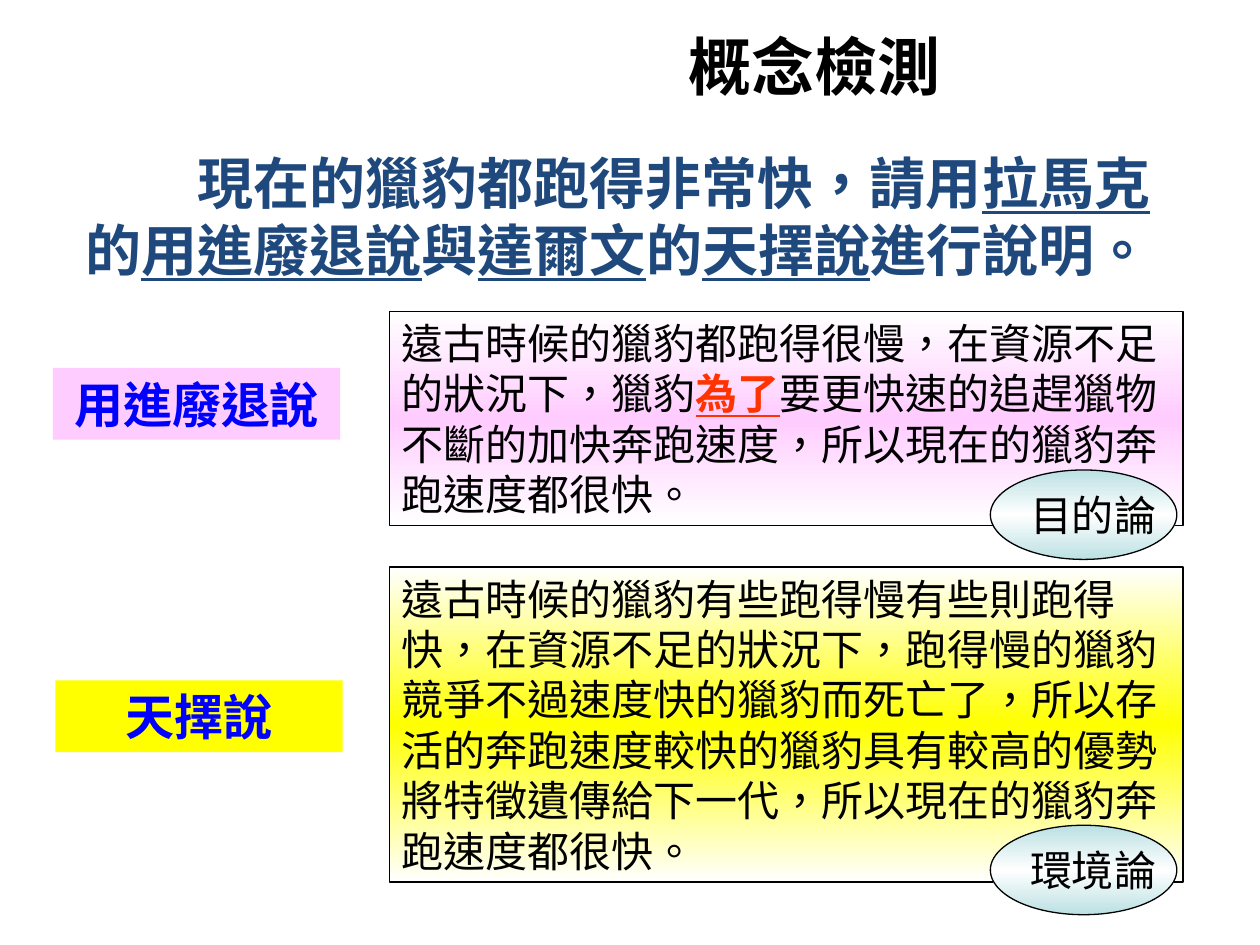
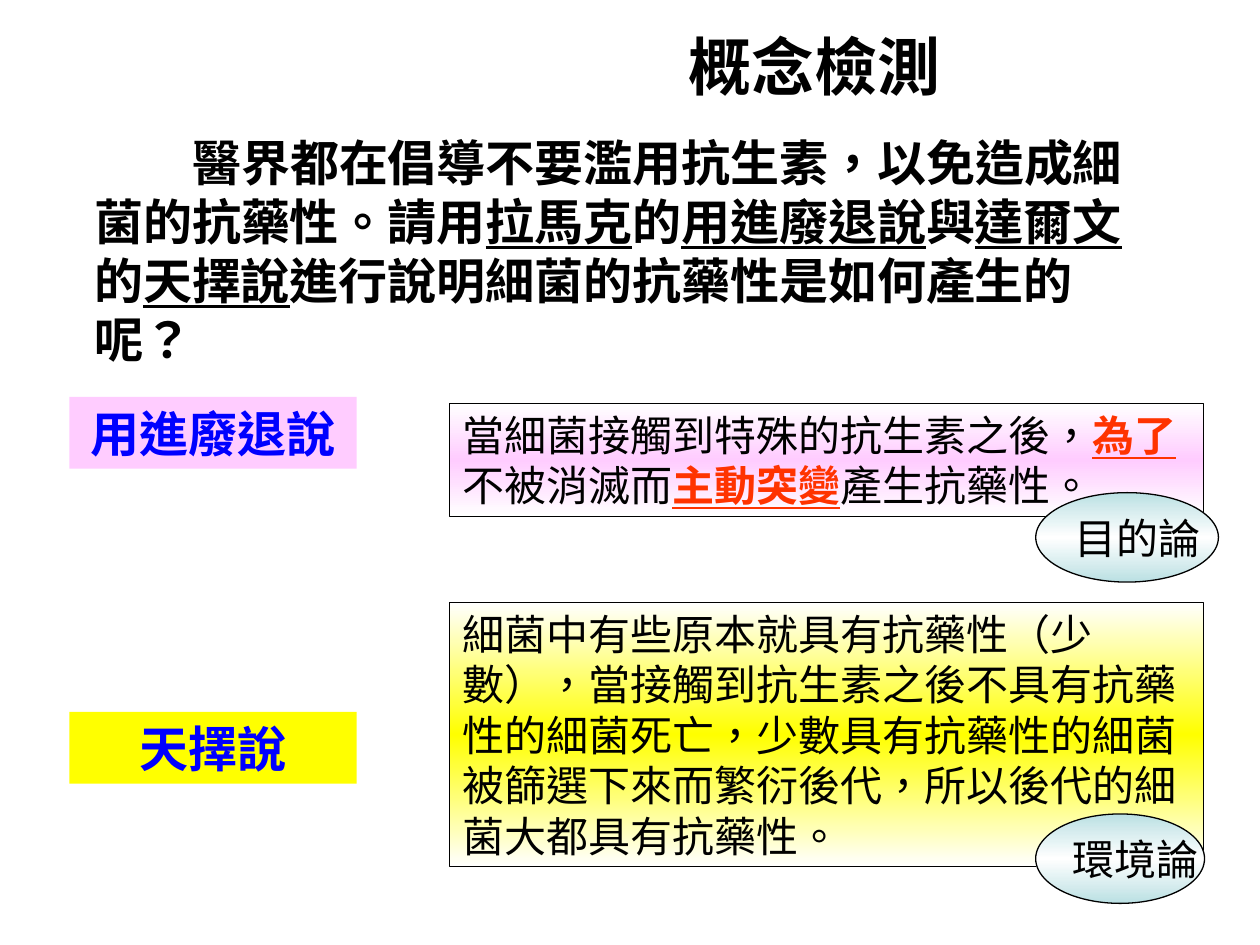
from copy import deepcopy

from pptx import Presentation
from pptx.dml.color import RGBColor
from pptx.enum.shapes import MSO_SHAPE
from pptx.enum.text import MSO_ANCHOR, MSO_AUTO_SIZE, PP_ALIGN
from pptx.oxml.ns import qn
from pptx.util import Inches, Pt

RECT, ELLIPSE = MSO_SHAPE.RECTANGLE, MSO_SHAPE.OVAL
TOP, MIDDLE = MSO_ANCHOR.TOP, MSO_ANCHOR.MIDDLE
LEFT, CENTER = PP_ALIGN.LEFT, PP_ALIGN.CENTER
GROW = MSO_AUTO_SIZE.SHAPE_TO_FIT_TEXT

FONT = "Noto Sans CJK SC"
BLACK = RGBColor(0x00, 0x00, 0x00)
WHITE = RGBColor(0xFF, 0xFF, 0xFF)
NAVY = RGBColor(0x1F, 0x49, 0x7D)
BLUE = RGBColor(0x00, 0x00, 0xFF)
RED = RGBColor(0xFF, 0x33, 0x00)
PINK = RGBColor(0xFF, 0xCC, 0xFF)
YELLOW = RGBColor(0xFF, 0xFF, 0x00)
TEAL = RGBColor(0xBB, 0xE0, 0xE3)

TITLE = "概念檢測"
# Theory, its colour and the view behind it
THEORIES = [("用進廢退說", PINK, "目的論"), ("天擇說", YELLOW, "環境論")]


def write(sp, text, size, color=BLACK, bold=False, mark=None, align=LEFT,
          anchor=TOP, wrap=True, indent=0):
    """Write one paragraph; parts between bars are underlined, and bold in the mark colour if given."""
    tf = sp.text_frame
    tf.word_wrap = wrap
    tf.vertical_anchor = anchor
    p = tf.paragraphs[0]
    p.alignment = align
    pPr = p._p.get_or_add_pPr()
    pPr.set("hangingPunct", "0")
    if indent:
        pPr.set("marL", "0")
        pPr.set("indent", str(Pt(indent)))
    for i, part in enumerate(text.split("|")):
        marked = i % 2 == 1
        r = p.add_run()
        r.text = part
        r.font.size = Pt(size)
        r.font.name = FONT
        r.font.bold = bold or (marked and mark is not None)
        r.font.underline = marked
        r.font.color.rgb = mark if marked and mark is not None else color
        rPr = r._r.get_or_add_rPr()
        rPr.set("lang", "zh-TW")
        ea = rPr.makeelement(qn("a:ea"), {"typeface": FONT})
        rPr.find(qn("a:latin")).addnext(ea)


def add_text(slide, box, text, size, **fmt):
    sp = slide.shapes.add_textbox(*map(Inches, box))
    write(sp, text, size, anchor=MIDDLE, **fmt)


def add_plain_shape(shapes, kind, box):
    sp = shapes.add_shape(kind, *map(Inches, box))
    sp.shadow.inherit = False
    return sp


def add_label(slide, box, text, color):
    sp = add_plain_shape(slide.shapes, RECT, box)
    sp.fill.solid()
    sp.fill.fore_color.rgb = color
    sp.line.fill.background()
    write(sp, text, 28, color=BLUE, bold=True, align=CENTER)
    sp.text_frame.auto_size = GROW


def add_glow_shape(shapes, kind, box, edge, middle):
    """Add an outlined shape whose fill runs from edge to middle and back, downwards."""
    sp = add_plain_shape(shapes, kind, box)
    sp.fill.gradient()
    sp.fill.gradient_angle = 270
    gs_list = sp._element.spPr.find(qn("a:gradFill")).find(qn("a:gsLst"))
    gs_list.append(deepcopy(gs_list[0]))
    for stop, pos, color in zip(sp.fill.gradient_stops, (0, 0.5, 1), (edge, middle, edge)):
        stop.position = pos
        stop.color.rgb = color
    sp.line.color.rgb = BLACK
    sp.line.width = Pt(0.75)
    return sp


def add_answer(slide, box, text, color, view_box, view):
    shapes = slide.shapes.add_group_shape().shapes
    sp = add_glow_shape(shapes, RECT, box, WHITE, color)
    write(sp, text, 24, mark=RED)
    sp.text_frame.auto_size = GROW
    sp = add_glow_shape(shapes, ELLIPSE, view_box, TEAL, WHITE)
    write(sp, view, 24, anchor=MIDDLE, wrap=False)


def add_quiz(prs, question, question_box, size, color, answers):
    """Add a slide with a question and, per theory, (label box, answer box, view box, answer)."""
    slide = prs.slides.add_slide(prs.slide_layouts[6])
    add_text(slide, (3.43, 0.21, 6.07, 0.61), TITLE, 36, bold=True, align=CENTER)
    add_text(slide, question_box, question, size, color=color, bold=True, indent=2 * size)
    for (theory, tint, view), (label_box, box, view_box, answer) in zip(THEORIES, answers):
        add_label(slide, label_box, theory, tint)
        add_answer(slide, box, answer, tint, view_box, view)


def main():
    prs = Presentation()
    prs.slide_width, prs.slide_height = Inches(10), Inches(7.5)
    add_quiz(
        prs,
        "現在的獵豹都跑得非常快，請用|拉馬克|的|用進廢退說|與|達爾文|的|天擇說|進行說明。",
        (0.58, 1.08, 8.76, 1.26), 32, NAVY,
        [
            ((0.42, 2.92, 2.28, 0.57), (3.09, 2.47, 6.3, 1.7), (7.86, 3.73, 1.48, 0.71),
             "遠古時候的獵豹都跑得很慢，在資源不足的狀況下，獵豹|為了|要更快速的追趕獵物"
             "不斷的加快奔跑速度，所以現在的獵豹奔跑速度都很快。"),
            ((0.44, 5.4, 2.28, 0.57), (3.09, 4.5, 6.3, 2.5), (7.86, 6.55, 1.48, 0.71),
             "遠古時候的獵豹有些跑得慢有些則跑得快，在資源不足的狀況下，跑得慢的獵豹"
             "競爭不過速度快的獵豹而死亡了，所以存活的奔跑速度較快的獵豹具有較高的優勢"
             "將特徵遺傳給下一代，所以現在的獵豹奔跑速度都很快。"),
        ])
    add_quiz(
        prs,
        "醫界都在倡導不要濫用抗生素，以免造成細菌的抗藥性。請用|拉馬克|的|用進廢退說|與"
        "|達爾文|的|天擇說|進行說明細菌的抗藥性是如何產生的呢？",
        (0.65, 1.04, 8.43, 1.89), 28, BLACK,
        [
            ((0.55, 3.15, 2.28, 0.57), (3.57, 3.2, 5.98, 0.9), (8.22, 3.91, 1.45, 0.71),
             "當細菌接觸到特殊的抗生素之後，|為了|不被消滅而|主動突變|產生抗藥性。"),
            ((0.55, 5.65, 2.28, 0.57), (3.57, 4.78, 5.98, 2.1), (8.22, 6.46, 1.34, 0.71),
             "細菌中有些原本就具有抗藥性（少數），當接觸到抗生素之後不具有抗藥性的細菌死亡，"
             "少數具有抗藥性的細菌被篩選下來而繁衍後代，所以後代的細菌大都具有抗藥性。"),
        ])
    prs.save("out.pptx")


if __name__ == "__main__":
    main()
